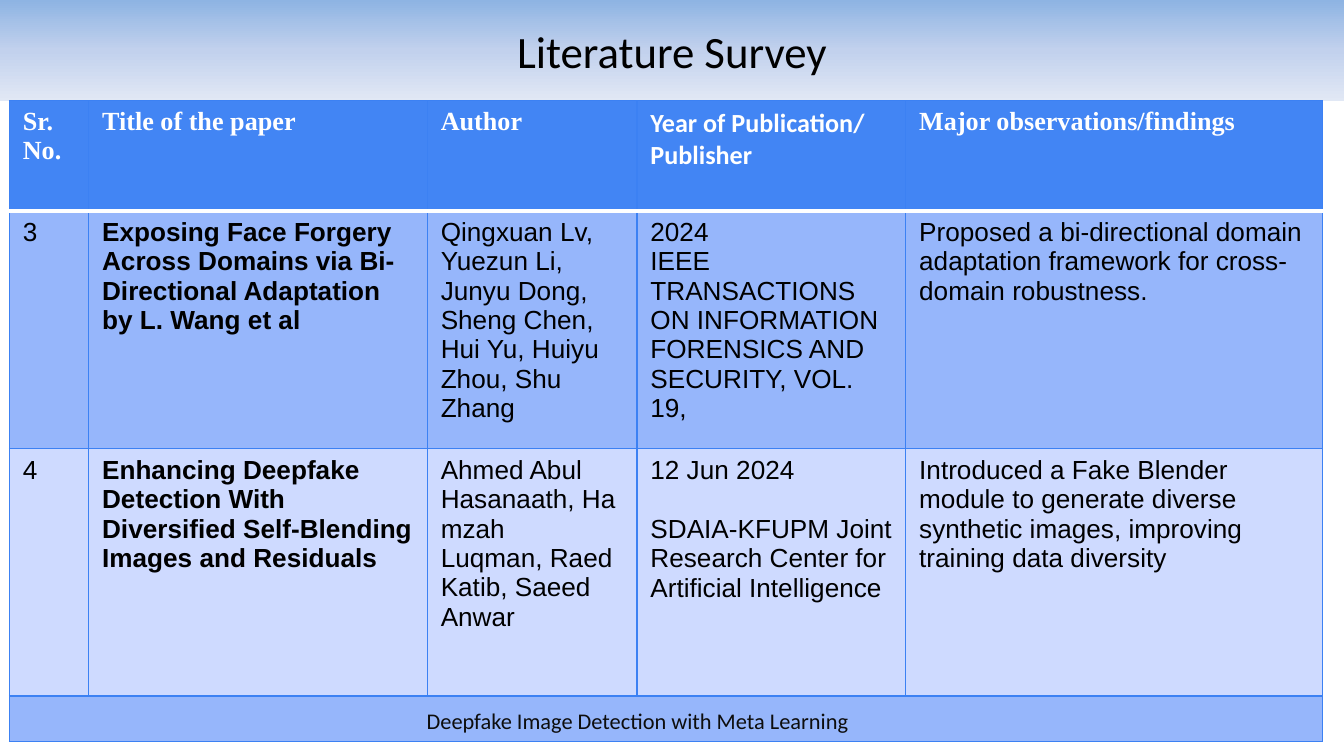
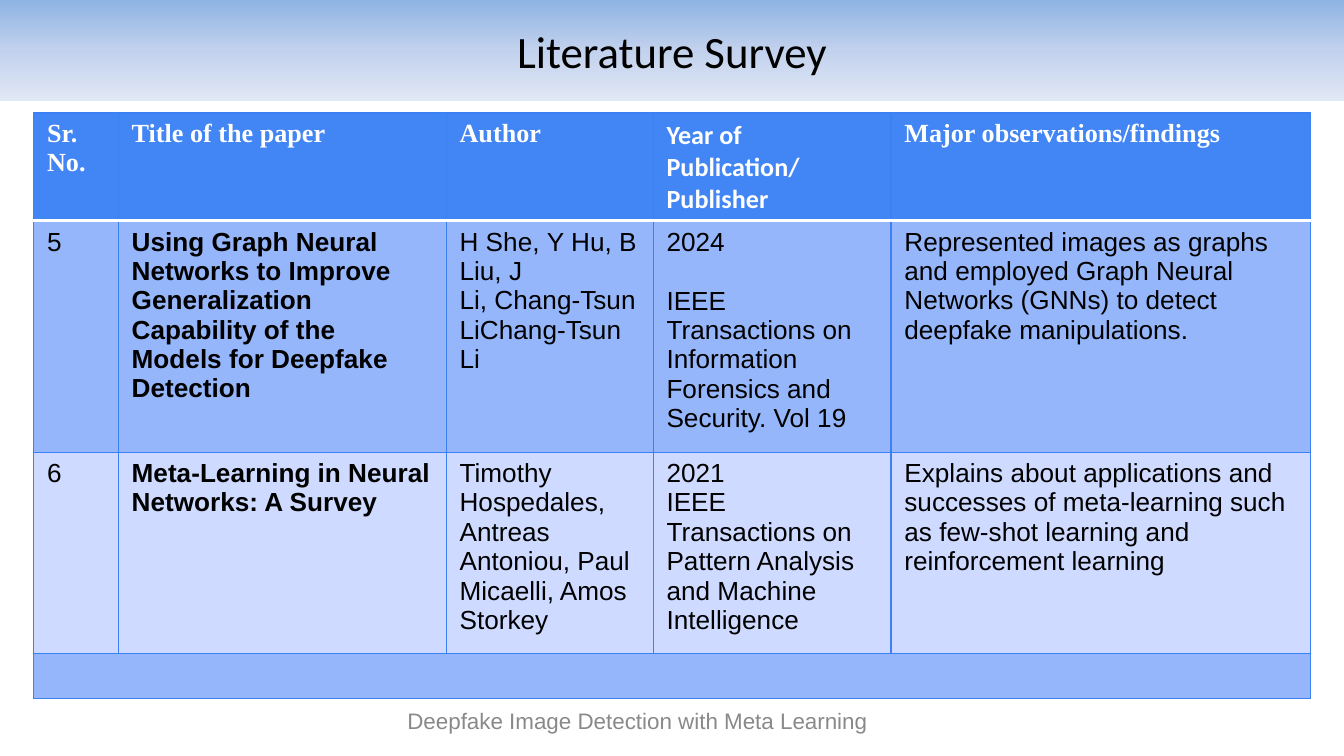
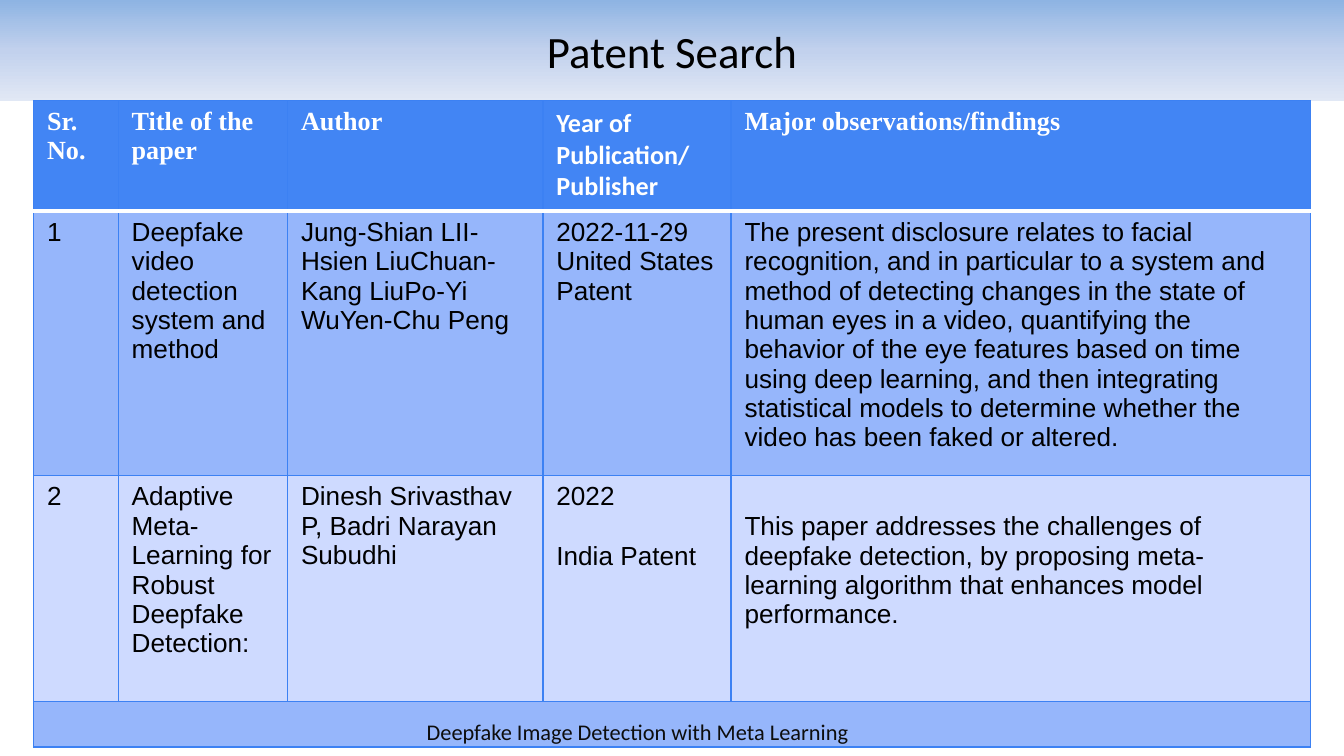
from dataclasses import dataclass

from lxml.etree import SubElement
from pptx import Presentation
from pptx.dml.color import RGBColor
from pptx.enum.shapes import MSO_SHAPE as SHAPE
from pptx.enum.text import MSO_ANCHOR as ANCHOR, PP_ALIGN as ALIGN
from pptx.oxml import parse_xml
from pptx.oxml.ns import nsdecls, qn
from pptx.util import Inches, Pt


@dataclass(frozen=True)
class Theme:
    header: str = "4285F4"
    band_dark: str = "96B6FB"
    band_light: str = "CEDAFF"
    border: str = "3C81F3"
    white: str = "FFFFFF"
    black: str = "000000"
    footer: str = "0D0D0D"
    muted: str = "898989"
    title_stops: tuple = ((0, "8EB4E3"), (50, "C2D1ED"), (100, "E1E8F5"))
    sans: str = "Calibri"
    serif: str = "Times New Roman"
    body: str = "Arial"
    title_size: int = 24
    table_size: int = 14
    footer_size: int = 12
    blank_line: int = 16
    thin: float = 0.75
    thick: float = 2


T = Theme()
NBSP = chr(160)
FOOTER = "Deepfake Image Detection with Meta Learning"
HEADERS = ("Sr. No.", "Title of the paper", "Author",
           "Year of Publication/ Publisher", "Major observations/findings")
YEAR_COL = 3


@dataclass(frozen=True)
class Entry:
    number: str
    title: str
    author: str
    year: str
    publisher: str
    finding: str
    publisher_gap: bool = False
    finding_gap: bool = False


FORGERY = Entry(
    "3", "Exposing Face Forgery Across Domains via Bi-Directional Adaptation by L. Wang et al",
    "Qingxuan Lv, Yuezun Li, Junyu Dong, Sheng Chen, Hui Yu, Huiyu Zhou, Shu Zhang",
    "2024", "IEEE TRANSACTIONS ON INFORMATION FORENSICS AND SECURITY, VOL. 19,",
    "Proposed a bi-directional domain adaptation framework for cross-domain robustness.")
BLENDING = Entry(
    "4", "Enhancing Deepfake Detection With Diversified Self-Blending Images and Residuals",
    NBSP.join(("Ahmed Abul Hasanaath,", "Hamzah Luqman,", "Raed Katib,", "Saeed Anwar")),
    "12 Jun 2024", "SDAIA-KFUPM Joint Research Center for Artificial Intelligence",
    "Introduced a Fake Blender module to generate diverse synthetic images, "
    "improving training data diversity", publisher_gap=True)
GRAPHS = Entry(
    "5", "Using Graph Neural Networks to Improve Generalization Capability "
    "of the Models for Deepfake Detection",
    NBSP.join(("H She,", "Y Hu,", "B Liu,", "J Li,", "Chang-Tsun LiChang-Tsun Li")),
    "2024", "IEEE Transactions on Information Forensics and Security. Vol 19",
    "Represented images as graphs and employed Graph Neural Networks (GNNs) "
    "to detect deepfake manipulations.", publisher_gap=True)
META = Entry(
    "6", "Meta-Learning in Neural Networks: A Survey",
    "Timothy Hospedales, Antreas Antoniou, Paul Micaelli, Amos Storkey",
    "2021", "IEEE Transactions on Pattern Analysis and Machine Intelligence",
    "Explains about applications and successes of meta-learning such as "
    "few-shot learning and reinforcement learning")
VIDEO_PATENT = Entry(
    "1", "Deepfake video detection system and method",
    "Jung-Shian LII-Hsien LiuChuan-Kang LiuPo-Yi WuYen-Chu Peng",
    "2022-11-29", "United States Patent",
    "The present disclosure relates to facial recognition, and in particular to a system "
    "and method of detecting changes in the state of human eyes in a video, quantifying the "
    "behavior of the eye features based on time using deep learning, and then integrating "
    "statistical models to determine whether the video has been faked or altered.")
ADAPTIVE_PATENT = Entry(
    "2", "Adaptive Meta-Learning for Robust Deepfake Detection:",
    NBSP.join(("Dinesh Srivasthav P,", "Badri Narayan Subudhi")),
    "2022", "India Patent",
    "This paper addresses the challenges of deepfake detection, by proposing "
    "meta-learning algorithm that enhances model performance.",
    publisher_gap=True, finding_gap=True)


def add_run(p, text, font, size, color, bold=False):
    r = p.add_run()
    r.text = text
    r.font.name = font
    r.font.size = Pt(size)
    r.font.bold = bold
    r.font.color.rgb = RGBColor.from_string(color)


def add_title(slide, text):
    s = slide.shapes.add_shape(SHAPE.RECTANGLE, 0, 0, Inches(10), Inches(0.75))
    s.shadow.inherit = False
    stops = "".join(f'<a:gs pos="{pos * 1000}"><a:srgbClr val="{color}"/></a:gs>'
                    for pos, color in T.title_stops)
    grad = parse_xml(f'<a:gradFill {nsdecls("a")}><a:gsLst>{stops}</a:gsLst>'
                     '<a:lin ang="5400000" scaled="0"/></a:gradFill>')
    s._element.spPr.find(qn("a:prstGeom")).addnext(grad)
    s.line.fill.background()
    tf = s.text_frame
    tf.vertical_anchor = ANCHOR.MIDDLE
    p = tf.paragraphs[0]
    p.alignment = ALIGN.CENTER
    add_run(p, text, T.sans, T.title_size, T.black)


def add_footer(slide, top=5.21, font=T.sans, color=T.footer):
    s = slide.shapes.add_textbox(Inches(0.82), Inches(top), Inches(7.85), Inches(0.3))
    tf = s.text_frame
    tf.word_wrap = True
    tf.vertical_anchor = ANCHOR.MIDDLE
    p = tf.paragraphs[0]
    p.alignment = ALIGN.CENTER
    add_run(p, FOOTER, font, T.footer_size, color)


def style_cell(cell, fill, top=(T.border, T.thin), bottom=(T.border, T.thin)):
    cell.fill.solid()
    cell.fill.fore_color.rgb = RGBColor.from_string(fill)
    side = (T.border, T.thin)
    tcPr = cell._tc.get_or_add_tcPr()
    edges = {"a:lnL": side, "a:lnR": side, "a:lnT": top, "a:lnB": bottom}
    for i, (tag, (color, width)) in enumerate(edges.items()):
        ln = SubElement(tcPr, qn(tag), w=str(Pt(width)))
        SubElement(SubElement(ln, qn("a:solidFill")), qn("a:srgbClr"), val=color)
        tcPr.insert(i, ln)


def fill_entry(cells, entry, bold_title):
    columns = ((entry.number,), (entry.title,), (entry.author,),
               (entry.year, entry.publisher), (entry.finding,))
    for col, (cell, lines) in enumerate(zip(cells, columns)):
        tf = cell.text_frame
        for i, line in enumerate(lines):
            p = tf.add_paragraph() if i else tf.paragraphs[0]
            if i and entry.publisher_gap:
                p.space_before = Pt(T.blank_line)
            add_run(p, line, T.body, T.table_size, T.black, bold_title and col == 1)
    if entry.finding_gap:
        cells[-1].margin_top = Inches(0.05) + Pt(T.blank_line)


def add_survey_table(slide, left, top, widths, heights, entries, bold_title=True):
    table = slide.shapes.add_table(
        len(heights), len(widths), Inches(left), Inches(top),
        Inches(sum(widths)), Inches(sum(heights))).table
    table.first_row = table.horz_banding = False
    for column, width in zip(table.columns, widths):
        column.width = Inches(width)
    for row, height in zip(table.rows, heights):
        row.height = Inches(height)

    rule = (T.white, T.thick)
    head, first, second, strip = [list(row.cells) for row in table.rows]
    for col, (cell, text) in enumerate(zip(head, HEADERS)):
        style_cell(cell, T.header, bottom=rule)
        font = T.sans if col == YEAR_COL else T.serif
        add_run(cell.text_frame.paragraphs[0], text, font, T.table_size, T.white, True)
    for cell in first:
        style_cell(cell, T.band_dark, top=rule)
    for cell in second:
        style_cell(cell, T.band_light)
    for cells, entry in zip((first, second), entries):
        fill_entry(cells, entry, bold_title)
    for cell in strip:
        style_cell(cell, T.band_dark)
        p = cell.text_frame.paragraphs[0]
        SubElement(p._p, qn("a:endParaRPr"), sz=str(T.table_size * 100))
    strip[0].merge(strip[-1])


def main():
    prs = Presentation()
    prs.slide_width = Inches(10)
    prs.slide_height = prs.slide_width * 9 // 16
    blank = prs.slide_layouts[6]

    slide = prs.slides.add_slide(blank)
    add_title(slide, "Literature Survey")
    add_survey_table(slide, 0.07, 0.75, (0.59, 2.52, 1.56, 2, 3.1),
                     (0.82, 1.77, 1.84, 0.34), (FORGERY, BLENDING))
    add_footer(slide)

    slide = prs.slides.add_slide(blank)
    add_title(slide, "Literature Survey")
    add_survey_table(slide, 0.25, 0.84, (0.63, 2.44, 1.54, 1.77, 3.12),
                     (0.69, 1.3, 1.3, 0), (GRAPHS, META))
    add_footer(slide, font=T.body, color=T.muted)

    slide = prs.slides.add_slide(blank)
    add_title(slide, "Patent Search")
    add_survey_table(slide, 0.25, 0.75, (0.63, 1.26, 1.9, 1.4, 4.31),
                     (0.82, 1.77, 1.68, 0.34), (VIDEO_PATENT, ADAPTIVE_PATENT),
                     bold_title=False)
    add_footer(slide, top=5.29)

    prs.save("out.pptx")


if __name__ == "__main__":
    main()
